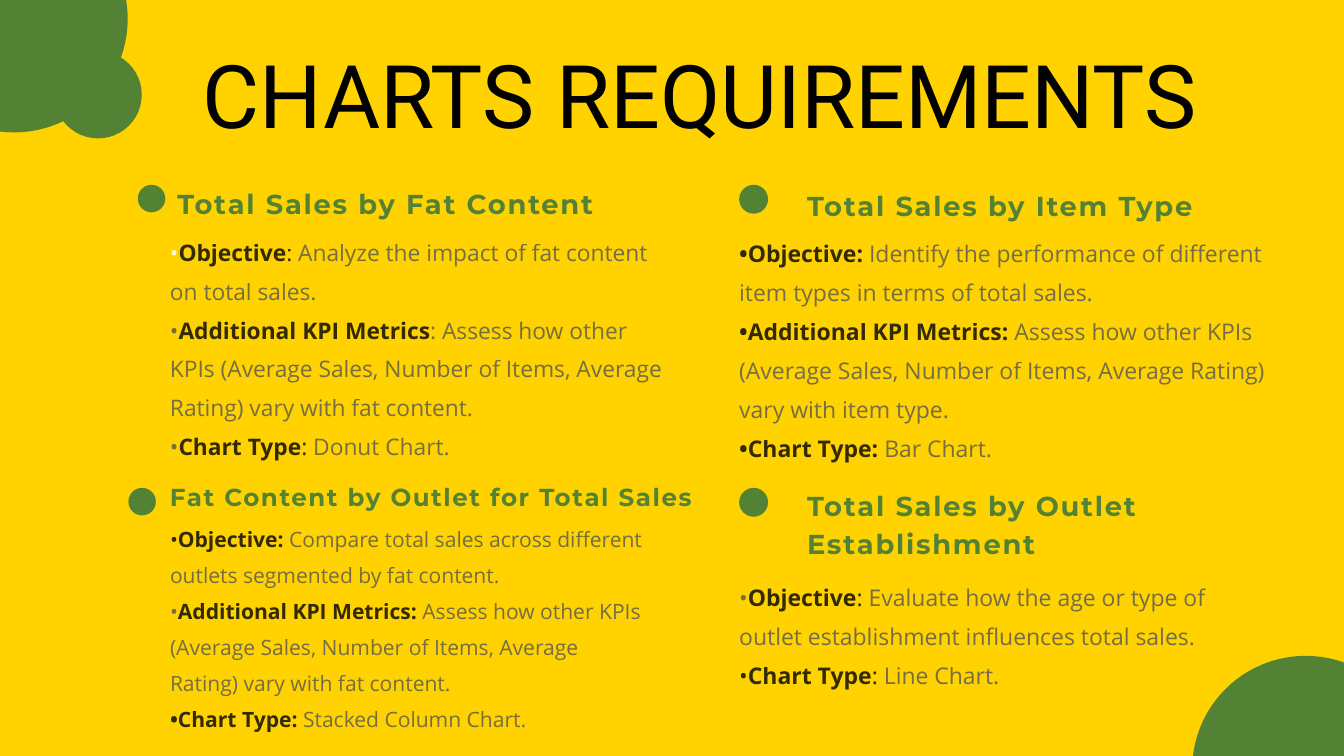
from typing import NamedTuple

from lxml import etree
from pptx import Presentation
from pptx.dml.color import RGBColor
from pptx.enum.shapes import MSO_SHAPE
from pptx.enum.text import MSO_ANCHOR, MSO_AUTO_SIZE, PP_ALIGN
from pptx.oxml.ns import qn
from pptx.util import Inches, Pt

OVAL = MSO_SHAPE.OVAL
TOP = MSO_ANCHOR.TOP
GROW = MSO_AUTO_SIZE.SHAPE_TO_FIT_TEXT
LEFT, CENTER, JUSTIFY = PP_ALIGN.LEFT, PP_ALIGN.CENTER, PP_ALIGN.JUSTIFY

YELLOW = RGBColor(0xFF, 0xD2, 0x00)
GREEN = RGBColor(0x54, 0x82, 0x35)
BLACK = RGBColor(0x00, 0x00, 0x00)
GRAY = RGBColor(0x54, 0x54, 0x54)
WHITE = RGBColor(0xFF, 0xFF, 0xFF)


class Circle(NamedTuple):
    left: float
    top: float
    size: float


class Box(NamedTuple):
    left: float
    top: float
    width: float
    height: float


class Style(NamedTuple):
    font: str
    size: float
    line: float
    spacing: float = 0
    opacity: int = 100
    align: PP_ALIGN = LEFT


class Span(NamedTuple):
    text: str
    color: RGBColor
    bold: bool = False


class Section(NamedTuple):
    dot: Circle
    heading: str
    heading_box: Box
    heading_style: Style
    body_box: Box
    body_style: Style
    body: list[list[Span]]


def label(text: str) -> Span:
    return Span(text, BLACK, True)


def detail(text: str) -> Span:
    return Span(text, GRAY)


def plain(text: str) -> Span:
    return Span(text, BLACK)


TITLE_STYLE = Style("Roboto", 94, 112.8, align=CENTER)
HEADING = Style("Montserrat", 29.3, 41, 1.9)
BODY = Style("Open Sans", 24.6, 41.9, opacity=80)

CORNER_CIRCLES = [
    Circle(17.74, 9.76, 3.38),
    Circle(-1.48, -1.41, 3.38),
    Circle(0.81, 0.76, 1.3),
]

SECTIONS = [
    Section(
        Circle(2.05, 2.75, 0.41),
        "Total Sales by Fat Content",
        Box(2.64, 2.7, 7.36, 1.1),
        HEADING._replace(align=JUSTIFY),
        Box(2.53, 3.39, 7.47, 3.76),
        BODY._replace(size=24.4, line=41.4),
        [
            [Span("•", WHITE), label("Objective"), plain(":"),
             detail(" Analyze the impact of fat content on total sales.")],
            [detail("•"), label("Additional KPI Metrics"),
             detail(": Assess how other KPIs (Average Sales, Number of Items, "
                    "Average Rating) vary with fat content.")],
            [detail("•"), label("Chart Type"), plain(": "), detail("Donut Chart.")],
        ],
    ),
    Section(
        Circle(11, 2.75, 0.43),
        "Total Sales by Item Type",
        Box(12.01, 2.74, 7.36, 0.53),
        HEADING,
        Box(11, 3.39, 7.88, 3.76),
        BODY,
        [
            [label("•Objective:"),
             detail(" Identify the performance of different item types in terms "
                    "of total sales.")],
            [label("•Additional KPI Metrics:"),
             detail(" Assess how other KPIs (Average Sales, Number of Items, "
                    "Average Rating) vary with item type.")],
            [label("•Chart Type:"), detail(" Bar Chart.")],
        ],
    ),
    Section(
        Circle(1.91, 7.26, 0.41),
        "Fat Content by Outlet for Total Sales",
        Box(2.53, 7.1, 8.46, 0.49),
        HEADING._replace(size=26.3, line=36.8, spacing=1.7),
        Box(2.53, 7.68, 7.11, 3.5),
        BODY._replace(size=22.6, line=38.5),
        [
            [plain("•"), label("Objective: "),
             detail("Compare total sales across different outlets segmented by "
                    "fat content.")],
            [detail("•"), label("Additional KPI Metrics: "),
             detail("Assess how other KPIs (Average Sales, Number of Items, "
                    "Average Rating) vary with fat content.")],
            [label("•Chart Type: "), detail("Stacked Column Chart.")],
        ],
    ),
    Section(
        Circle(11, 7.26, 0.43),
        "Total Sales by Outlet Establishment",
        Box(12.01, 7.2, 5.73, 1.1),
        HEADING,
        Box(11, 8.51, 7.88, 2.24),
        BODY,
        [
            [detail("•"), label("Objective"), plain(":"),
             detail(" Evaluate how the age or type of outlet establishment "
                    "influences total sales.")],
            [plain("•"), label("Chart Type"), plain(": "), detail("Line Chart.")],
        ],
    ),
]


def add_circle(slide, circle: Circle) -> None:
    sp = slide.shapes.add_shape(OVAL, Inches(circle.left), Inches(circle.top),
                                Inches(circle.size), Inches(circle.size))
    sp.shadow.inherit = False
    sp.fill.solid()
    sp.fill.fore_color.rgb = GREEN
    sp.line.fill.background()


def add_span(p, span: Span, style: Style) -> None:
    r = p.add_run()
    r.text = span.text
    r.font.name = style.font
    r.font.size = Pt(style.size)
    r.font.bold = span.bold
    r.font.color.rgb = span.color
    rPr = r.font._element
    if style.spacing:
        rPr.set("spc", str(round(style.spacing * 100)))
    if style.opacity < 100:
        color = rPr.find(".//" + qn("a:srgbClr"))
        etree.SubElement(color, qn("a:alpha")).set("val", str(style.opacity * 1000))


def add_text(slide, box: Box, style: Style, paragraphs: list[list[Span]]) -> None:
    tf = slide.shapes.add_textbox(*map(Inches, box)).text_frame
    tf.margin_left = tf.margin_top = tf.margin_right = tf.margin_bottom = 0
    tf.word_wrap = True
    tf.auto_size = GROW
    tf.vertical_anchor = TOP
    for i, spans in enumerate(paragraphs):
        p = tf.add_paragraph() if i else tf.paragraphs[0]
        p.alignment = style.align
        p.line_spacing = Pt(style.line)
        for span in spans:
            add_span(p, span, style)


def main() -> None:
    prs = Presentation()
    prs.slide_width, prs.slide_height = Inches(20), Inches(11.25)
    slide = prs.slides.add_slide(prs.slide_layouts[6])
    slide.background.fill.solid()
    slide.background.fill.fore_color.rgb = YELLOW

    # Corner decoration and title
    for circle in CORNER_CIRCLES:
        add_circle(slide, circle)
    add_text(slide, Box(2.63, 0.61, 15.57, 1.57), TITLE_STYLE,
             [[plain("CHARTS REQUIREMENTS")]])

    # Chart sections: dot, heading and requirements
    for s in SECTIONS:
        add_circle(slide, s.dot)
        add_text(slide, s.heading_box, s.heading_style,
                 [[Span(s.heading, GREEN, True)]])
        add_text(slide, s.body_box, s.body_style, s.body)

    prs.save("out.pptx")


if __name__ == "__main__":
    main()
